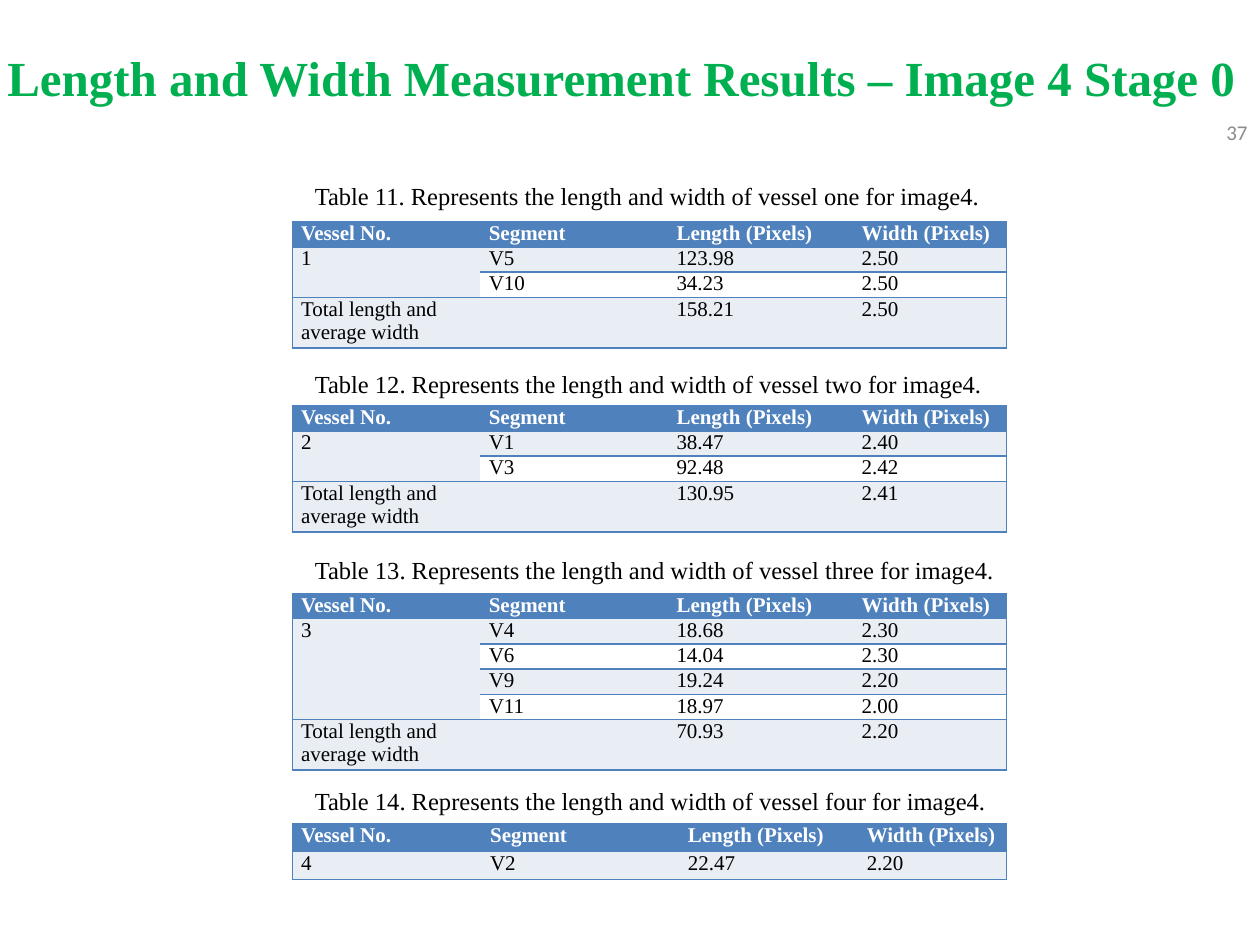
from lxml.etree import SubElement
from pptx import Presentation
from pptx.dml.color import RGBColor
from pptx.enum.text import MSO_ANCHOR, PP_ALIGN
from pptx.oxml.ns import qn
from pptx.util import Inches, Pt

SERIF = "Times New Roman"
BLUE, PALE, WHITE, BLACK = "4F81BD", "E9EDF4", "FFFFFF", "000000"
TITLE = "Length and Width Measurement Results – Image 4 Stage 0"
HEADER = ["Vessel No.", "Segment", "Length (Pixels)", "Width (Pixels)"]
TOTAL = "Total length and average width"
COLS = [1.49, 1.49, 1.47, 1.22]
LEFT, ROW_H, TOTAL_H = 2.32, 0.2, 0.4

VESSELS = [
    dict(caption="Table 11. Represents the length and width of vessel one for image4.",
         caption_top=1.39, top=1.76, number="1",
         segments=[("V5", "123.98", "2.50"), ("V10", "34.23", "2.50")],
         total=("158.21", "2.50")),
    dict(caption="Table 12. Represents the length and width of vessel two for image4.",
         caption_top=2.88, top=3.22, number="2",
         segments=[("V1", "38.47", "2.40"), ("V3", "92.48", "2.42")],
         total=("130.95", "2.41")),
    dict(caption="Table 13. Represents the length and width of vessel three for image4.",
         caption_top=4.36, top=4.71, number="3",
         segments=[("V4", "18.68", "2.30"), ("V6", "14.04", "2.30"),
                   ("V9", "19.24", "2.20"), ("V11", "18.97", "2.00")],
         total=("70.93", "2.20")),
    dict(caption="Table 14. Represents the length and width of vessel four for image4.",
         caption_top=6.19, top=6.54, number="4",
         segments=[("V2", "22.47", "2.20")],
         cols=[1.5, 1.57, 1.42, 1.18], row_h=0.22),
]


def rgb(color):
    return RGBColor.from_string(color)


def set_font(font, size, color, name=SERIF, bold=False):
    font.size, font.name, font.bold = Pt(size), name, bold
    font.color.rgb = rgb(color)


def add_text(slide, text, box, size, color, name=SERIF, bold=False,
             align=PP_ALIGN.LEFT, anchor=MSO_ANCHOR.TOP):
    tf = slide.shapes.add_textbox(*map(Inches, box)).text_frame
    tf.word_wrap = True
    tf.vertical_anchor = anchor
    tf.text = text
    p = tf.paragraphs[0]
    p.alignment = align
    set_font(p.runs[0].font, size, color, name, bold)


def set_borders(cell, colors):
    """Draw 1 pt borders; a side whose colour is None is left without a line."""
    tc_pr = cell._tc.get_or_add_tcPr()
    for side, color in colors.items():
        ln = SubElement(tc_pr, qn(f"a:ln{side}"), w=str(Pt(1)))
        if color:
            fill = SubElement(ln, qn("a:solidFill"))
            SubElement(fill, qn("a:srgbClr"), val=color)
        else:
            SubElement(ln, qn("a:noFill"))


def style_cell(cell, text, fill, color, bold, first, last):
    set_borders(cell, {"L": BLUE if first else None, "R": BLUE if last else None,
                       "T": BLUE, "B": BLUE})
    cell.fill.solid()
    cell.fill.fore_color.rgb = rgb(fill)
    cell.margin_left = cell.margin_right = Inches(0.07)
    cell.margin_top = cell.margin_bottom = 0
    cell.text = text
    p = cell.text_frame.paragraphs[0]
    set_font(p.runs[0].font if p.runs else p.font, 12, color, bold=bold)


def add_vessel_table(slide, vessel):
    segments = vessel["segments"]
    rows = [HEADER] + [(vessel["number"] if i == 0 else "", *segment)
                       for i, segment in enumerate(segments)]
    heights = [vessel.get("row_h", ROW_H)] * len(rows)
    if "total" in vessel:
        rows.append((TOTAL, "", *vessel["total"]))
        heights.append(TOTAL_H)
    cols = vessel.get("cols", COLS)
    table = slide.shapes.add_table(
        len(rows), len(cols), Inches(LEFT), Inches(vessel["top"]),
        Inches(sum(cols)), Inches(sum(heights))).table
    table.first_row = table.horz_banding = False
    for column, width in zip(table.columns, cols):
        column.width = Inches(width)
    for row, height in zip(table.rows, heights):
        row.height = Inches(height)
    if len(segments) > 1:
        table.cell(1, 0).merge(table.cell(len(segments), 0))
    for i, row in enumerate(rows):
        header = i == 0
        fill = BLUE if header else PALE if i % 2 else WHITE
        for j, text in enumerate(row):
            cell = table.cell(i, j)
            if not cell.is_spanned:
                style_cell(cell, text, fill, WHITE if header else BLACK, header,
                           j == 0, j == len(cols) - 1)


prs = Presentation()
prs.slide_width, prs.slide_height = Inches(10), Inches(7.5)
s = prs.slides.add_slide(prs.slide_layouts[6])
add_text(s, "37", (7.67, 0.85, 2.33, 0.4), 12, "8C8C8C", "Calibri",
         align=PP_ALIGN.RIGHT, anchor=MSO_ANCHOR.MIDDLE)
add_text(s, TITLE, (-0.04, 0.33, 10.08, 0.57), 28, "00B050", bold=True,
         align=PP_ALIGN.JUSTIFY)
for vessel in VESSELS:
    add_text(s, vessel["caption"], (2.4, vessel["caption_top"], 5.9, 0.34), 14, BLACK)
    add_vessel_table(s, vessel)
prs.save("out.pptx")
